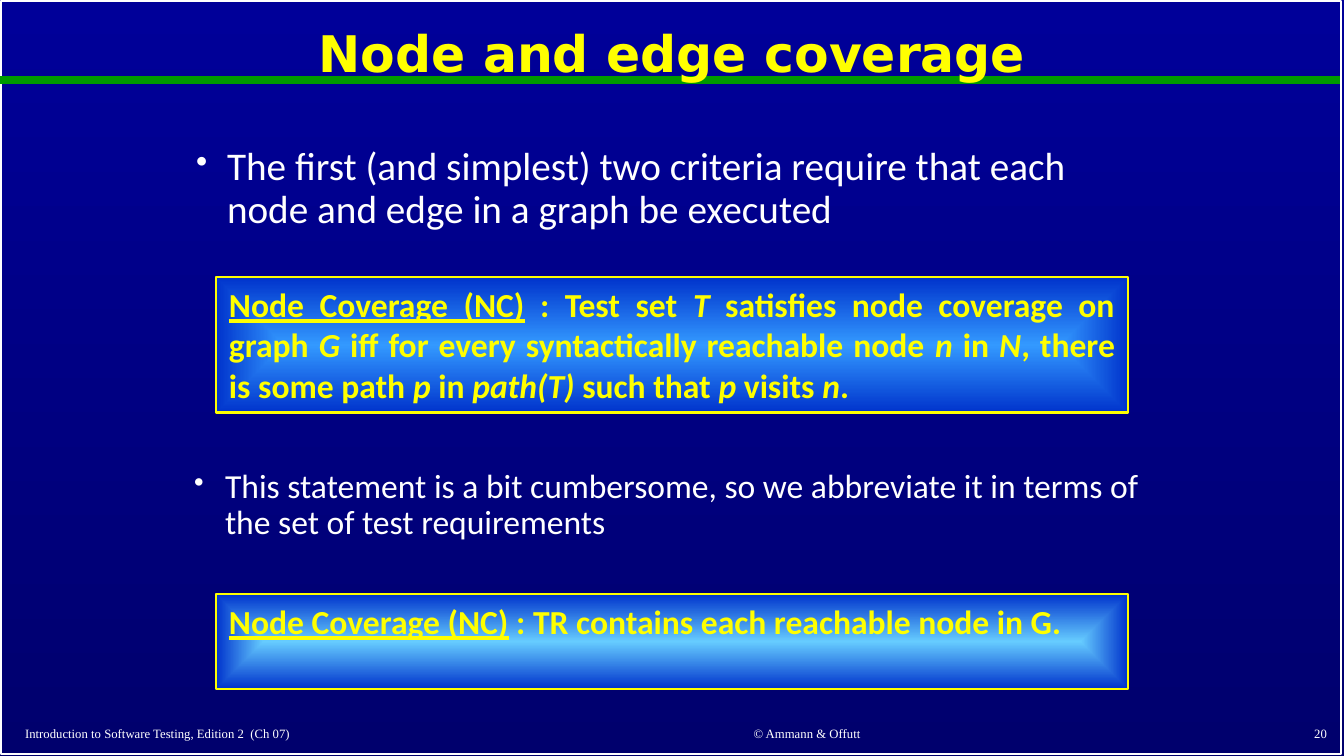
"""Build the slide on node and edge coverage."""
from lxml import etree
from pptx import Presentation
from pptx import util as u
from pptx.dml.color import RGBColor
from pptx.enum import shapes, text
from pptx.oxml import ns

EMU_PER_PX = 6804
WHITE = RGBColor(0xFF, 0xFF, 0xFF)
YELLOW = RGBColor(0xFF, 0xFF, 0x00)
GREEN = RGBColor(0x00, 0x99, 0x00)
NAVY = RGBColor(0x00, 0x00, 0x99)
DARK_NAVY = RGBColor(0x00, 0x00, 0x6D)
BLUE = RGBColor(0x00, 0x33, 0xCC)
SKY = RGBColor(0x33, 0x99, 0xFF)
LIGHT_SKY = RGBColor(0x66, 0xCC, 0xFF)

FOOTER = {"name": "Times New Roman", "size": u.Pt(6.8), "color": WHITE}
TITLE = {"name": "DejaVu Sans", "size": u.Pt(27), "color": YELLOW, "bold": True}
BODY = {"name": "Calibri", "size": u.Pt(21), "color": WHITE}
SMALL_BODY = {**BODY, "size": u.Pt(18)}
DEFINITION = {**SMALL_BODY, "color": YELLOW, "bold": True}
TERM = {**DEFINITION, "underline": True}


def px(length):
    return u.Emu(length * EMU_PER_PX)


def add_child(parent, tag, **attributes):
    child = etree.SubElement(parent, ns.qn(tag))
    for name, value in attributes.items():
        child.set(name, value)
    return child


def add_run(paragraph, words, style):
    run = paragraph.add_run()
    run.text = words
    for name, value in style.items():
        if name == "color":
            run.font.color.rgb = value
        else:
            setattr(run.font, name, value)


def set_frame(shape, anchor, insets=(13, 7)):
    frame = shape.text_frame
    across, down = (px(inset) for inset in insets)
    values = {
        "word_wrap": True, "vertical_anchor": anchor,
        "margin_left": across, "margin_right": across,
        "margin_top": down, "margin_bottom": down,
    }
    for name, value in values.items():
        setattr(frame, name, value)
    return frame.paragraphs[0]


def add_text(slide, box, words, style, alignment, anchor, insets=(13, 7)):
    shape = slide.shapes.add_textbox(*map(px, box))
    paragraph = set_frame(shape, anchor, insets)
    paragraph.alignment = alignment
    add_run(paragraph, words, style)
    return paragraph


def add_bullet(slide, box, words, style, insets=(13, 7)):
    paragraph = add_text(slide, box, words, style, text.PP_ALIGN.LEFT,
                         text.MSO_ANCHOR.TOP, insets)
    paragraph.line_spacing = 0.9
    properties = paragraph._p.get_or_add_pPr()
    properties.set("marL", str(px(31)))
    properties.set("indent", str(px(-31)))
    add_child(properties, "a:buSzPct", val="85000")
    add_child(properties, "a:buChar", char="•")


def set_gradient(fill, start, end):
    fill.gradient()
    for stop, color, position in zip(fill.gradient_stops, (start, end), (0, 1)):
        stop.color.rgb = color
        stop.position = position


def add_rectangle(slide, box, line_color, line_width):
    shape = slide.shapes.add_shape(shapes.MSO_SHAPE.RECTANGLE, *map(px, box))
    shape.shadow.inherit = False
    shape.fill.background()
    shape.line.color.rgb = line_color
    shape.line.width = u.Pt(line_width)
    return shape


def add_definition(slide, top, height, center_color, words):
    """Add a framed definition, with italics between asterisks in words."""
    shape = add_rectangle(slide, (216, top, 912, height), YELLOW, 1.5)
    set_gradient(shape.fill, center_color, BLUE)
    gradient = shape._element.spPr.find(ns.qn("a:gradFill"))
    gradient.remove(gradient.find(ns.qn("a:lin")))
    center = add_child(gradient, "a:path", path="shape")
    add_child(center, "a:fillToRect", l="50000", t="50000", r="50000", b="50000")
    paragraph = set_frame(shape, text.MSO_ANCHOR.TOP)
    paragraph.alignment = text.PP_ALIGN.JUSTIFY
    add_run(paragraph, "Node Coverage (NC)", TERM)
    for index, part in enumerate(words.split("*")):
        add_run(paragraph, part, {**DEFINITION, "italic": index % 2 == 1})


def add_rule(slide, start, end):
    line = slide.shapes.add_connector(
        shapes.MSO_CONNECTOR.STRAIGHT, *map(px, start + end))
    line.line.color.rgb = GREEN
    line.line.width = u.Pt(4.5)
    add_child(line._element.spPr, "a:effectLst")


def set_background(slide):
    fill = slide.background.fill
    set_gradient(fill, NAVY, DARK_NAVY)
    fill.gradient_angle = 270


def main():
    presentation = Presentation()
    presentation.slide_width, presentation.slide_height = px(1344), px(756)
    slide = presentation.slides.add_slide(presentation.slide_layouts[6])
    set_background(slide)
    add_rectangle(slide, (1, 1, 1340, 753), WHITE, 1)
    add_rule(slide, (0, 80), (1340, 80))

    align, anchor = text.PP_ALIGN, text.MSO_ANCHOR
    footers = [
        ((12, 718, 554, 30), "Introduction to Software Testing, Edition 2  (Ch 07)", align.LEFT),
        ((594, 717, 426, 31), "© Ammann & Offutt", align.CENTER),
        ((1060, 716, 280, 32), "20", align.RIGHT),
    ]
    for box, words, alignment in footers:
        add_text(slide, box, words, FOOTER, alignment, anchor.BOTTOM)

    title = add_text(slide, (243, 11, 858, 91), "Node and edge coverage",
                     TITLE, align.CENTER, anchor.MIDDLE)
    title.line_spacing = 0.9

    add_bullet(slide, (183, 140, 977, 85),
               "The first (and simplest) two criteria require that each "
               "node and edge in a graph be executed", BODY)
    add_definition(slide, 277, 136, SKY,
                   " : Test set *T* satisfies node coverage on graph *G *iff for "
                   "every syntactically reachable node *n* in *N*, there is some "
                   "path *p* in *path(T)* such that *p* visits *n*.")
    add_definition(slide, 594, 95, LIGHT_SKY,
                   " : TR contains each reachable node in G.")
    add_bullet(slide, (183, 464, 977, 83),
               "This statement is a bit cumbersome, so we abbreviate it in "
               "terms of the set of test requirements", SMALL_BODY, (11, 5))
    presentation.save("out.pptx")


if __name__ == "__main__":
    main()
